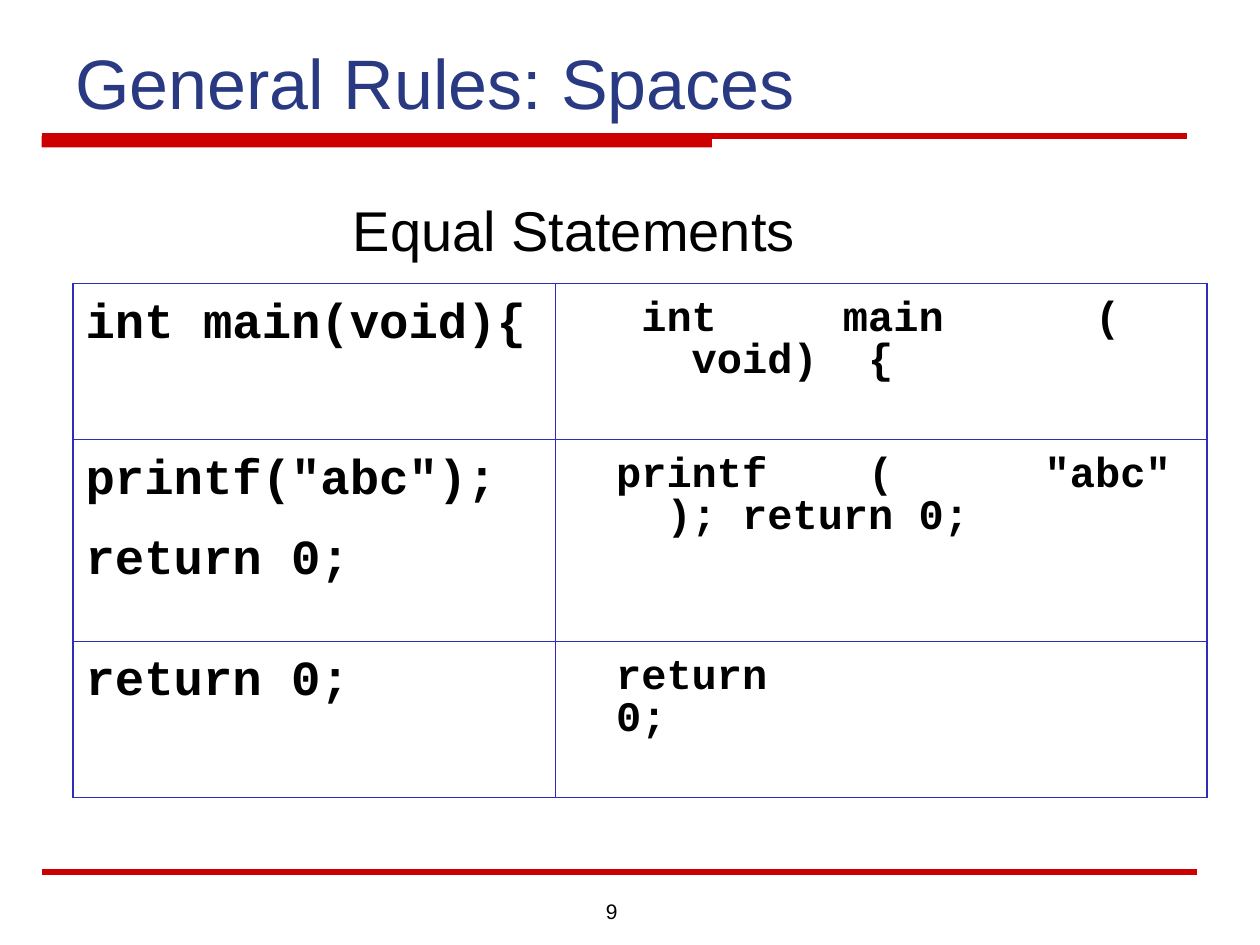
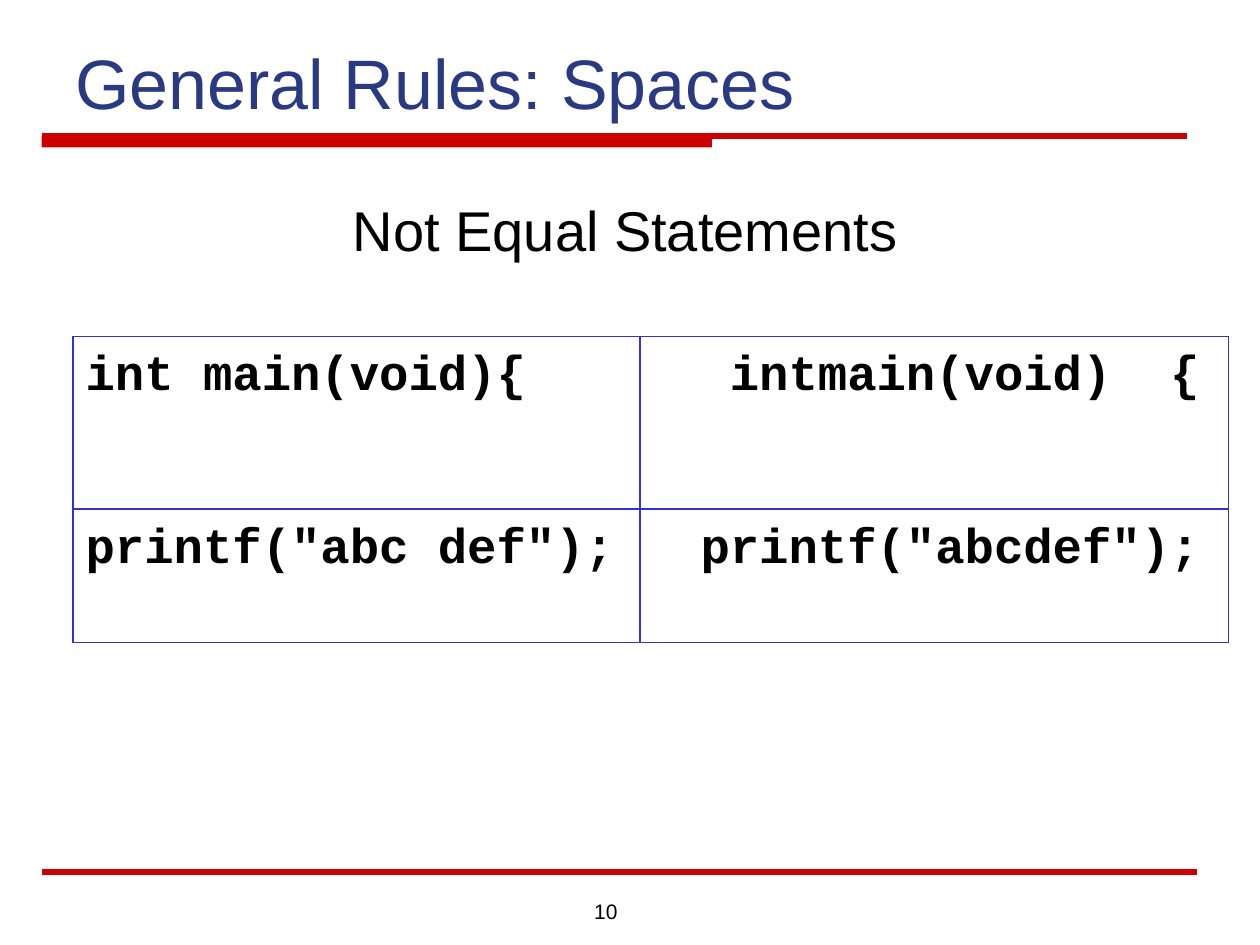
from lxml import etree
from pptx import Presentation
from pptx.dml.color import RGBColor
from pptx.enum.shapes import MSO_CONNECTOR, MSO_SHAPE
from pptx.enum.text import MSO_ANCHOR, MSO_AUTO_SIZE, PP_ALIGN
from pptx.oxml import parse_xml
from pptx.oxml.ns import nsdecls, qn
from pptx.util import Inches, Pt

RECTANGLE = MSO_SHAPE.RECTANGLE
STRAIGHT = MSO_CONNECTOR.STRAIGHT
BOTTOM = MSO_ANCHOR.BOTTOM
NO_FIT = MSO_AUTO_SIZE.NONE
LEFT, RIGHT = PP_ALIGN.LEFT, PP_ALIGN.RIGHT

COLORS = {"title": "293A83", "rule": "CC0000", "text": "000000",
          "equal_grid": "2D2DB9", "unequal_grid": "3333CC"}
TITLE_ONLY = 5
FIRST_NUMBER = 9
TITLE = "General Rules: Spaces"

SLIDES = [
    {"heading": "Equal Statements", "grid": "equal_grid", "top": 2.25,
     "columns": [3.83, 5.17], "rows": [1.24, 1.6, 1.24], "variant_size": 24,
     "code": [
         ("int main(void){", " int     main      (      void)  {"),
         ('printf("abc");\nreturn 0;', 'printf    (      "abc"   ); return 0;'),
         ("return 0;", "return                0;")]},
    {"heading": "Not Equal Statements", "grid": "unequal_grid", "top": 2.67,
     "columns": [4.5, 4.67], "rows": [1.37, 1.06], "variant_size": 28,
     "code": [
         ("int main(void){", " intmain(void)  {"),
         ('printf("abc def");', 'printf("abcdef"); ')]},
]


def rgb(name):
    """Return the named colour."""
    return RGBColor.from_string(COLORS[name])


def set_font(paragraph, size, color="text", name="Arial", bold=False):
    """Set the font of a whole paragraph."""
    font = paragraph.font
    font.name, font.size, font.bold = name, Pt(size), bold
    font.color.rgb = rgb(color)


def add_rule(slide, right, y):
    """Draw a thin red rule from the left margin."""
    line = slide.shapes.add_connector(
        STRAIGHT, Inches(0.33), Inches(y), Inches(right), Inches(y))
    line.line.color.rgb = rgb("rule")
    line.line.width = Pt(3)
    etree.SubElement(line._element.spPr, qn("a:effectLst"))


def add_text_box(slide, left, top, width, height):
    """Add a wrapping text box and return its frame."""
    box = slide.shapes.add_textbox(
        Inches(left), Inches(top), Inches(width), Inches(height))
    box.text_frame.word_wrap = True
    return box.text_frame


def add_frame(slide, number):
    """Add the title, red bands and slide number."""
    bar = slide.shapes.add_shape(
        RECTANGLE, Inches(0.33), Inches(1.08), Inches(5.32), Inches(0.09))
    bar.shadow.inherit = False
    bar.fill.solid()
    bar.fill.fore_color.rgb = rgb("rule")
    bar.line.fill.background()
    add_rule(slide, 9.42, 1.08)
    add_rule(slide, 9.5, 6.92)

    title = slide.shapes.title
    title.left, title.top = Inches(0.5), Inches(0.17)
    title.width, title.height = Inches(9), Inches(0.86)
    frame = title.text_frame
    frame.text = TITLE
    frame.auto_size = NO_FIT
    frame.vertical_anchor = BOTTOM
    frame.paragraphs[0].alignment = LEFT
    set_font(frame.paragraphs[0], 40, "title")

    paragraph = add_text_box(slide, 4.33, 7.08, 0.67, 0.27).paragraphs[0]
    paragraph.alignment = RIGHT
    set_font(paragraph, 12)
    paragraph._p.append(parse_xml(
        f'<a:fld {nsdecls("a")} id="{{B6F15528-21DE-4FAA-801E-634DDDAF4B2B}}" '
        f'type="slidenum"><a:rPr sz="1200"/><a:t>{number}</a:t></a:fld>'))


def add_heading(slide, text):
    """Add the heading above the table."""
    frame = add_text_box(slide, 1.83, 1.5, 6.25, 0.64)
    frame.margin_left = Inches(0.97)
    frame.text = text
    frame.paragraphs[0].space_before = Pt(20)
    set_font(frame.paragraphs[0], 32)


def set_borders(cell, color):
    """Give a cell thin borders on all four sides."""
    properties = cell._tc.get_or_add_tcPr()
    for side in "LRTB":
        properties.append(parse_xml(
            f'<a:ln{side} {nsdecls("a")} w="{Pt(1)}"><a:solidFill>'
            f'<a:srgbClr val="{COLORS[color]}"/></a:solidFill></a:ln{side}>'))


def fill_cell(cell, code, size, space_before, indent):
    """Write code into a cell."""
    cell.margin_left = cell.margin_right = Inches(0.1)
    cell.margin_top = Inches(0.12 if size == 28 else 0.11)
    cell.margin_bottom = Inches(0.05)
    cell.text = code
    for paragraph in cell.text_frame.paragraphs:
        paragraph.line_spacing = 0.89
        paragraph.space_before = Pt(space_before)
        set_font(paragraph, size, name="Courier New", bold=True)
        if indent:
            paragraph.level = 1
            properties = paragraph._p.get_or_add_pPr()
            properties.set("marL", str(Inches(indent)))
            properties.set("indent", "0")


def add_code_table(slide, content):
    """Add the table that sets statements beside their variants."""
    columns, rows = content["columns"], content["rows"]
    table = slide.shapes.add_table(
        len(rows), len(columns), Inches(0.58), Inches(content["top"]),
        Inches(sum(columns)), Inches(sum(rows))).table
    table.first_row = table.horz_banding = False
    for column, width in zip(table.columns, columns):
        column.width = Inches(width)
    for row, height, (statement, variant) in zip(table.rows, rows, content["code"]):
        row.height = Inches(height)
        size = content["variant_size"]
        fill_cell(row.cells[0], statement, 28, 17.5, 0)
        fill_cell(row.cells[1], variant, size, size / 4, 0.38)
        for cell in row.cells:
            set_borders(cell, content["grid"])
            cell.fill.background()


def main():
    """Build and save the presentation."""
    presentation = Presentation()
    presentation.slide_width, presentation.slide_height = Inches(10), Inches(7.5)
    presentation.element.set("firstSlideNum", str(FIRST_NUMBER))
    for number, content in enumerate(SLIDES, FIRST_NUMBER):
        slide = presentation.slides.add_slide(presentation.slide_layouts[TITLE_ONLY])
        add_frame(slide, number)
        add_code_table(slide, content)
        add_heading(slide, content["heading"])
    presentation.save("out.pptx")


main()
